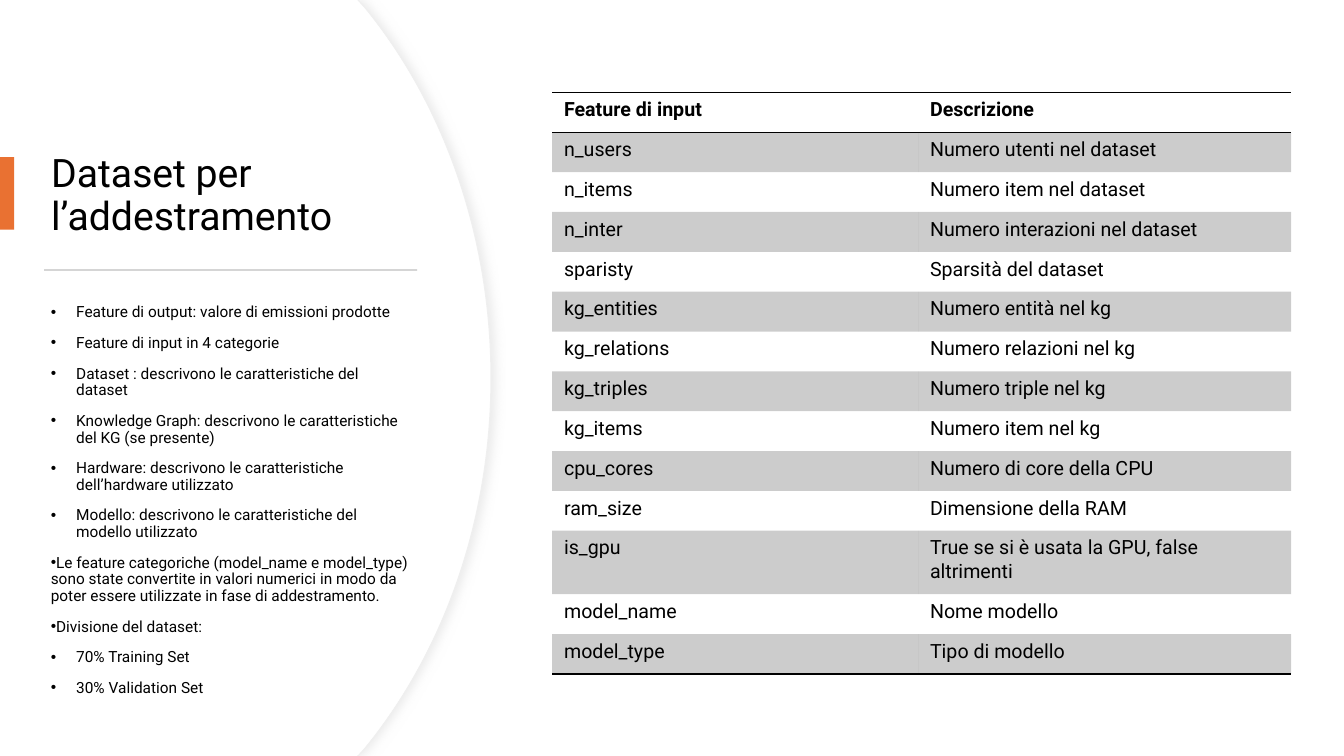
import pptx
import pptx.dml.color
import pptx.enum.shapes
import pptx.enum.text
import pptx.oxml.ns
import pptx.util
from lxml import etree

Cm = pptx.util.Cm
Pt = pptx.util.Pt
qn = pptx.oxml.ns.qn

FONT = "Roboto"
COLORS = {
    "text": "000000",
    "panel": "FFFFFF",
    "panel_edge": "EFEFEF",
    "panel_shadow": "D9D9D9",
    "accent": "E97132",
    "rule": "D5D5D5",
}
TITLE = "Dataset per l’addestramento"
# Bullet text, hanging indent in cm
BULLETS = [
    ("Feature di output: valore di emissioni prodotte", 0.635),
    ("Feature di input in 4 categorie", 0.635),
    ("Dataset : descrivono le caratteristiche del dataset", 0.635),
    ("Knowledge Graph: descrivono le caratteristiche del KG (se presente)", 0.635),
    ("Hardware: descrivono le caratteristiche dell’hardware utilizzato", 0.635),
    ("Modello: descrivono le caratteristiche del modello utilizzato", 0.635),
    ("Le feature categoriche (model_name e model_type) sono state convertite in valori "
     "numerici in modo da poter essere utilizzate in fase di addestramento.", 0),
    ("Divisione del dataset:", 0),
    ("70% Training Set", 0.635),
    ("30% Validation Set", 0.635),
]
BULLETS = [(text, round(margin, 2)) for text, margin in BULLETS]
FEATURES = [
    ("Feature di input", "Descrizione"),
    ("n_users", "Numero utenti nel dataset"),
    ("n_items", "Numero item nel dataset"),
    ("n_inter", "Numero interazioni nel dataset"),
    ("sparisty", "Sparsità del dataset"),
    ("kg_entities", "Numero entità nel kg"),
    ("kg_relations", "Numero relazioni nel kg"),
    ("kg_triples", "Numero triple nel kg"),
    ("kg_items", "Numero item nel kg"),
    ("cpu_cores", "Numero di core della CPU"),
    ("ram_size", "Dimensione della RAM"),
    ("is_gpu", "True se si è usata la GPU, false altrimenti"),
    ("model_name", "Nome modello"),
    ("model_type", "Tipo di modello"),
]
SLIDE_WIDTH, SLIDE_HEIGHT = 33.86, 19.05
TABLE_LEFT, TABLE_TOP, TABLE_HEIGHT = 13.91, 2.33, 14.66
COLUMN_WIDTHS = (9.22, 9.4)
TALL_ROW, TALL_HEIGHT = 11, 1.6


def rgb(name):
    return pptx.dml.color.RGBColor.from_string(COLORS[name])


def write(para, text, size, bold=False, line_spacing=None, before=None):
    para.line_spacing = line_spacing
    para.space_before = before
    span = para.add_run()
    span.text = text
    span.font.name = FONT
    span.font.size = Pt(size)
    span.font.bold = bold
    span.font.color.rgb = rgb("text")


def add_bullet(para, margin):
    properties = para._p.get_or_add_pPr()
    properties.set("marL", str(Cm(margin)))
    properties.set("indent", str(-Cm(0.64)))
    etree.SubElement(properties, qn("a:buFont"), typeface="Arial")
    etree.SubElement(properties, qn("a:buChar"), char="•")


def add_text_box(slide, left, top, width, height, anchor):
    box = slide.shapes.add_textbox(Cm(left), Cm(top), Cm(width), Cm(height))
    box.text_frame.word_wrap = True
    box.text_frame.vertical_anchor = anchor
    return box.text_frame


def add_bar(slide, left, top, width, height, color):
    bar = slide.shapes.add_shape(pptx.enum.shapes.MSO_SHAPE.RECTANGLE,
                                 Cm(left), Cm(top), Cm(width), Cm(height))
    bar.shadow.inherit = False
    bar.fill.solid()
    bar.fill.fore_color.rgb = rgb(color)
    bar.line.fill.background()


def bend(shape, first):
    """Turn three straight segments, from the given one on, into one cubic curve."""
    segments = list(shape._element.iter(qn("a:lnTo")))[first:first + 3]
    curve = etree.Element(qn("a:cubicBezTo"))
    segments[0].addprevious(curve)
    for segment in segments:
        curve.append(segment[0])
        segment.getparent().remove(segment)


def add_panel(slide, right):
    """Draw the panel from the left edge, rounded out to the given right side."""
    upper = [(right - 3.35, 0), (right - 3.17, 0.2), (right - 1.22, 2.59), (right, 5.89)]
    lower = [(x, SLIDE_HEIGHT - y) for x, y in reversed(upper)]
    outline = upper + [(right, SLIDE_HEIGHT / 2)] + lower + [(0, SLIDE_HEIGHT)]
    builder = slide.shapes.build_freeform(0, 0)
    builder.add_line_segments([(Cm(x), Cm(y)) for x, y in outline], close=True)
    panel = builder.convert_to_shape()
    for first in (5, 2):
        bend(panel, first)
    panel.shadow.inherit = False
    panel.fill.solid()
    panel.fill.fore_color.rgb = rgb("panel")
    panel.line.fill.background()
    return panel


def add_edge_and_shadow(panel):
    panel.line.color.rgb = rgb("panel_edge")
    panel.line.width = Pt(0.75)
    effects = panel._element.spPr.find(qn("a:effectLst"))
    shadow = etree.SubElement(effects, qn("a:outerShdw"), blurRad=str(Pt(7)),
                              dist=str(Pt(3)), dir="0", algn="l", rotWithShape="0")
    color = etree.SubElement(shadow, qn("a:srgbClr"), val=COLORS["panel_shadow"])
    etree.SubElement(color, qn("a:alpha"), val="50000")


def add_border(cell, side):
    line = etree.SubElement(cell._tc.get_or_add_tcPr(), qn("a:" + side), w=str(Pt(1)))
    fill = etree.SubElement(line, qn("a:solidFill"))
    etree.SubElement(fill, qn("a:srgbClr"), val=COLORS["text"])


def format_cell(cell, row):
    cell.margin_left = cell.margin_right = Cm(0.3)
    cell.margin_top = cell.margin_bottom = Cm(0.15)
    if row == 0:
        add_border(cell, "lnT")
    if row in (0, len(FEATURES) - 1):
        add_border(cell, "lnB")
    if row % 2 == 0:
        cell.fill.background()
        return
    cell.fill.solid()
    cell.fill.fore_color.rgb = rgb("text")
    color = cell._tc.tcPr.find(qn("a:solidFill"))[0]
    etree.SubElement(color, qn("a:alpha"), val="20000")


def add_feature_table(slide):
    frame = slide.shapes.add_table(len(FEATURES), len(COLUMN_WIDTHS), Cm(TABLE_LEFT),
                                   Cm(TABLE_TOP), Cm(sum(COLUMN_WIDTHS)), Cm(TABLE_HEIGHT))
    table = frame.table
    table.first_row = table.horz_banding = False
    # "No Style, No Grid"
    style = table._tbl.tblPr.find(qn("a:tableStyleId"))
    style.text = "{2D5ABB26-0587-4C30-8999-92F81FD0307C}"
    for column, width in zip(table.columns, COLUMN_WIDTHS):
        column.width = Cm(width)
    row_height = (TABLE_HEIGHT - TALL_HEIGHT) / (len(FEATURES) - 1)
    for row, texts in enumerate(FEATURES):
        table.rows[row].height = Cm(TALL_HEIGHT if row == TALL_ROW else row_height)
        for column, text in enumerate(texts):
            cell = table.cell(row, column)
            format_cell(cell, row)
            write(cell.text_frame.paragraphs[0], text, 14, bold=row == 0)


def main():
    deck = pptx.Presentation()
    deck.slide_width, deck.slide_height = Cm(SLIDE_WIDTH), Cm(SLIDE_HEIGHT)
    slide = deck.slides.add_slide(deck.slide_layouts[6])
    anchors = pptx.enum.text.MSO_ANCHOR

    add_edge_and_shadow(add_panel(slide, 12.37))
    add_panel(slide, 12.34)

    title = add_text_box(slide, 1.04, 3.23, 9.55, 3.43, anchors.MIDDLE)
    write(title.paragraphs[0], TITLE, 28, line_spacing=0.9)
    add_bar(slide, 0, 3.96, 0.36, 1.83, "accent")
    add_bar(slide, 1.11, 6.78, 9.4, 0.05, "rule")

    body = add_text_box(slide, 1.03, 7.55, 9.55, 10.8, anchors.TOP)
    for index, (text, margin) in enumerate(BULLETS):
        para = body.add_paragraph() if index else body.paragraphs[0]
        write(para, text, 11, line_spacing=0.9, before=Pt(10))
        add_bullet(para, margin)

    add_feature_table(slide)
    deck.save("out.pptx")


if __name__ == "__main__":
    main()
